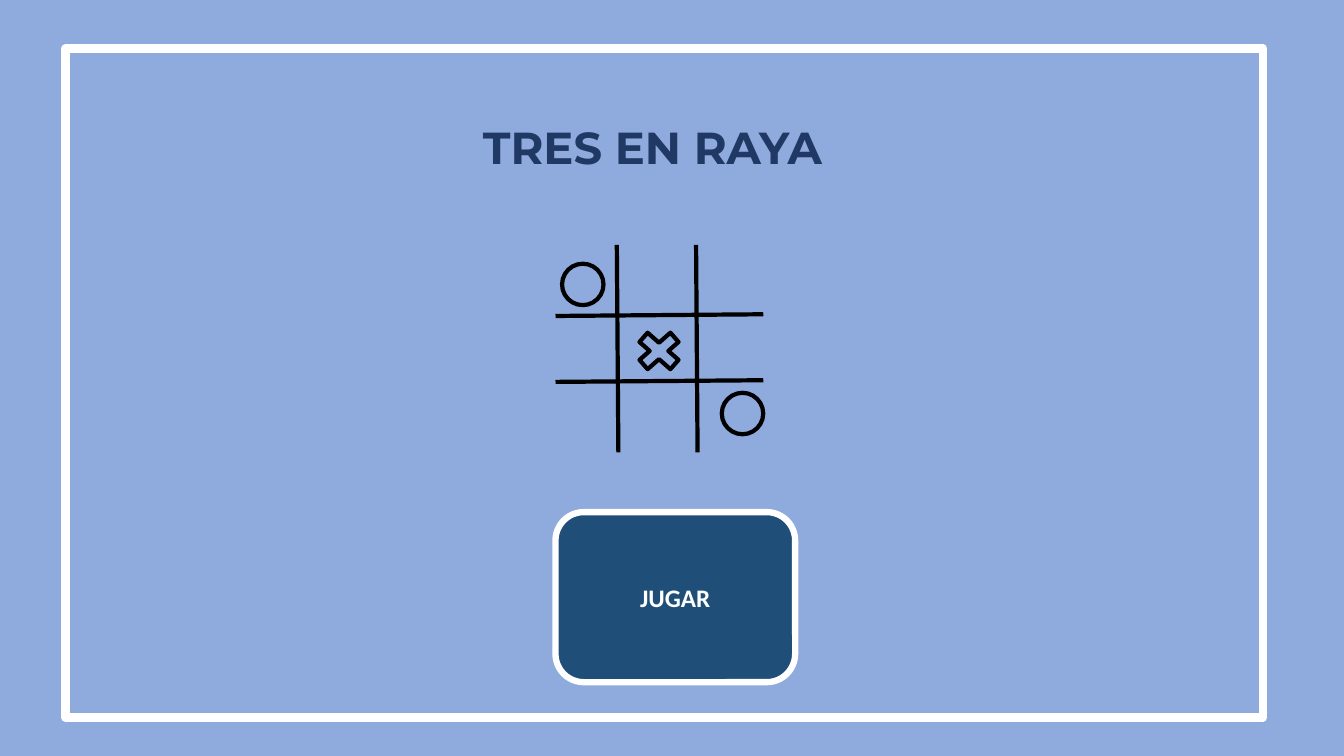
from dataclasses import dataclass

import pptx
import pptx.dml.color
import pptx.enum.shapes
import pptx.enum.text
import pptx.util
from pptx.oxml.ns import qn

Pt = pptx.util.Pt
Kind = pptx.enum.shapes.MSO_SHAPE


@dataclass(frozen=True)
class Theme:
    back: str = "8FAADC"
    navy: str = "203864"
    blue: str = "1F4E79"
    white: str = "FFFFFF"
    ink: str = "000000"
    head: str = "Montserrat"
    body: str = "Calibri"
    big: float = 32
    small: float = 18
    pen: float = 3


@dataclass(frozen=True)
class Part:
    kind: Kind
    box: tuple[float, float, float, float]
    line: str
    width: float
    fill: str | None = None


@dataclass(frozen=True)
class Stroke:
    start: tuple[float, float]
    end: tuple[float, float]


THEME = Theme()
FRAME = Part(Kind.RECTANGLE, (46.8, 34.6, 855.4, 478), THEME.white, 6)
BUTTON = Part(Kind.ROUNDED_RECTANGLE, (396.8, 365.8, 171.2, 121.5),
              THEME.white, 4.5, THEME.blue)
TITLE = (189.4, 81.5, 544.3, 46.2)

# Board: slightly tilted lines, two down and two across
LOW, HIGH = 174.9, 323.1
LEFT, RIGHT = 396.8, 545.2
GRID = [Stroke((x, LOW), (x + 1.1, HIGH)) for x in (440.6, 497.2)]
GRID += [Stroke((LEFT, y), (RIGHT, y - 1.2)) for y in (225.7, 272.8)]
MARKS = [
    Part(Kind.OVAL, (401.5, 188.4, 29.6, 29.6), THEME.ink, THEME.pen),
    Part(Kind.OVAL, (515.6, 280.6, 29.6, 29.6), THEME.ink, THEME.pen),
    Part(Kind.MATH_MULTIPLY, (449.5, 232, 42.5, 37.4), THEME.ink, THEME.pen),
]


def tint(code: str) -> pptx.dml.color.RGBColor:
    return pptx.dml.color.RGBColor.from_string(code)


def draw_part(slide, part: Part):
    shape = slide.shapes.add_shape(part.kind, *map(Pt, part.box))
    shape.shadow.inherit = False
    if part.fill:
        shape.fill.solid()
        shape.fill.fore_color.rgb = tint(part.fill)
    else:
        shape.fill.background()
    shape.line.color.rgb = tint(part.line)
    shape.line.width = Pt(part.width)
    return shape


def draw_line(slide, stroke: Stroke) -> None:
    line = slide.shapes.add_connector(
        pptx.enum.shapes.MSO_CONNECTOR.STRAIGHT,
        *map(Pt, stroke.start + stroke.end))
    line.line.color.rgb = tint(THEME.ink)
    line.line.width = Pt(THEME.pen)
    props = line._element.spPr
    props.append(props.makeelement(qn("a:effectLst"), {}))


def write(shape, text: str, face: str, size: float, color: str) -> None:
    frame = shape.text_frame
    frame.word_wrap = True
    frame.auto_size = pptx.enum.text.MSO_AUTO_SIZE.NONE
    frame.vertical_anchor = pptx.enum.text.MSO_ANCHOR.MIDDLE
    para = frame.paragraphs[0]
    para.alignment = pptx.enum.text.PP_ALIGN.CENTER
    run = para.add_run()
    run.text = text
    run.font.name = face
    run.font.size = Pt(size)
    run.font.bold = True
    run.font.color.rgb = tint(color)


def main() -> None:
    deck = pptx.Presentation()
    deck.slide_width, deck.slide_height = Pt(960), Pt(540)
    slide = deck.slides.add_slide(deck.slide_layouts[5])
    slide.background.fill.solid()
    slide.background.fill.fore_color.rgb = tint(THEME.back)

    # Frame and title
    draw_part(slide, FRAME)
    title = slide.shapes.title
    title.left, title.top, title.width, title.height = map(Pt, TITLE)
    write(title, " TRES EN RAYA", THEME.head, THEME.big, THEME.navy)

    # Game board
    for stroke in GRID:
        draw_line(slide, stroke)
    for mark in MARKS:
        draw_part(slide, mark)

    # Play button
    button = draw_part(slide, BUTTON)
    write(button, "JUGAR", THEME.body, THEME.small, THEME.white)

    deck.save("out.pptx")


if __name__ == "__main__":
    main()
